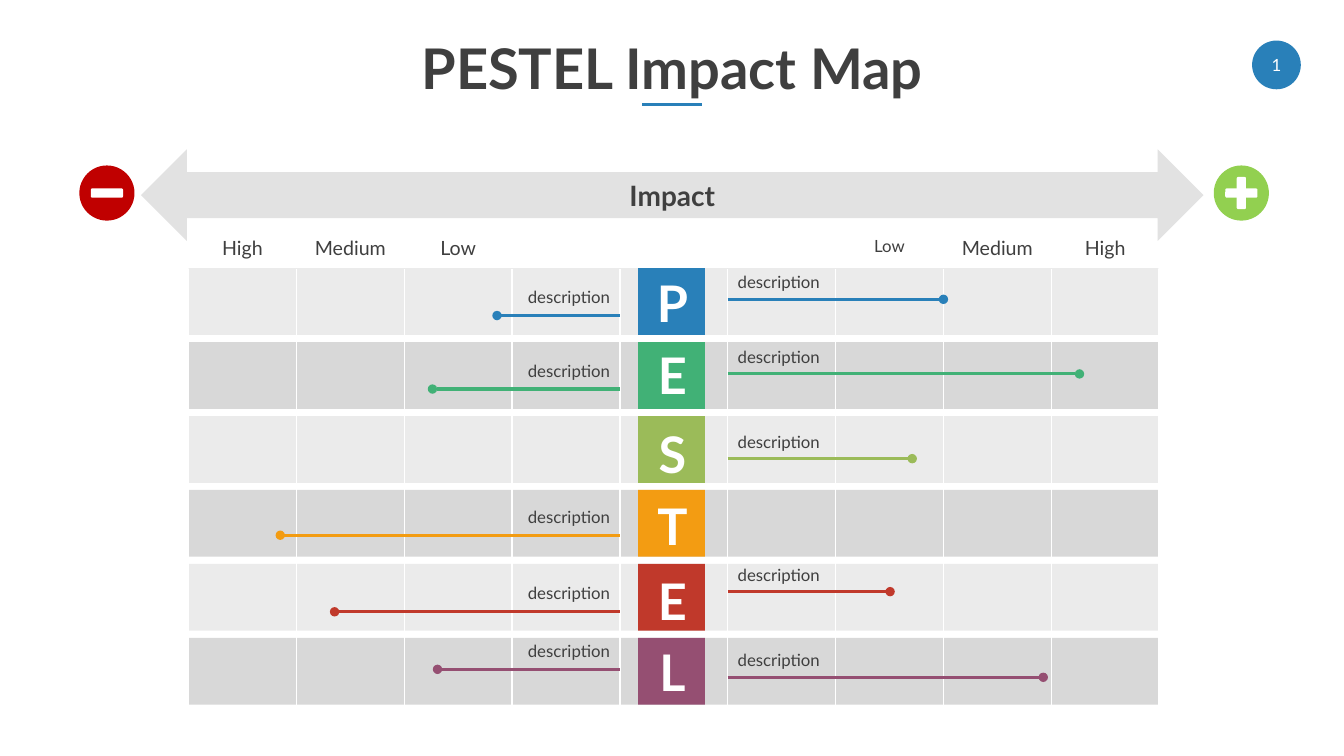
"""Build the PESTEL impact map slide."""
from lxml.etree import SubElement
from pptx import Presentation
from pptx.dml.color import RGBColor
from pptx.enum.shapes import MSO_CONNECTOR, MSO_SHAPE as SHAPE
from pptx.enum.text import MSO_ANCHOR as ANCHOR, PP_ALIGN as ALIGN
from pptx.oxml.ns import qn
from pptx.util import Pt

COLORS = {
    "text": "3F3F3F", "white": "FFFFFF", "arrow": "8C8C8C",
    "light": "D9D9D9", "dark": "B2B2B2", "minus": "C00000", "plus": "92D050",
    "blue": "2980B9", "green": "41B176", "olive": "9BBB59",
    "orange": "F39C12", "red": "C0392B", "purple": "954F72",
}
FACTORS = [
    {"letter": "P", "color": "blue", "drop": -0.7, "minus": (355, 225.4), "plus": (673.9, 213.8)},
    {"letter": "E", "color": "green", "drop": -2.2, "minus": (308.9, 277.9), "plus": (771.1, 267.1)},
    {"letter": "S", "color": "olive", "drop": 1.4, "plus": (651.6, 327.6)},
    {"letter": "T", "color": "orange", "drop": 0, "minus": (200.2, 382.3)},
    {"letter": "E", "color": "red", "drop": 0.7, "minus": (239, 437), "plus": (635.8, 422.6)},
    {"letter": "L", "color": "purple", "drop": -1.4, "minus": (312.5, 478.1), "plus": (745.2, 483.8)},
]
HEADINGS = {
    "minus": [(0, "High", 14), (1, "Medium", 14), (2, "Low", 14)],
    "plus": [(1, "Low", 12), (2, "Medium", 14), (3, "High", 14)],
}
SIDES = {"minus": 134.7, "plus": 519.8}
COLUMNS, COLUMN = 4, 77.04
GRID_TOP, GRID_BOTTOM, GRID_WIDTH = 191.5, 504, 692.8
ROW_STEP, ROW_HEIGHT = 52.83, 47.7
LETTER_LEFT = 455.8
LABEL_WIDTH, LABEL_HEIGHT = 104.4, 21.8
BADGE_Y, BADGE_SIZE, BAR_LONG, BAR_SHORT = 137.9, 39.4, 23, 6.6
BADGES = {"minus": (76.4, [(BAR_LONG, BAR_SHORT)]),
          "plus": (886.7, [(BAR_LONG, BAR_SHORT), (BAR_SHORT, BAR_LONG)])}

deck = Presentation()
deck.slide_width, deck.slide_height = Pt(960), Pt(540)
page = deck.slides.add_slide(deck.slide_layouts[6])


def rgb(name):
    return RGBColor.from_string(COLORS[name])


def write(box, text, size, color="text", bold=False, align=ALIGN.CENTER, anchor=ANCHOR.TOP):
    frame = box.text_frame
    frame.word_wrap = True
    frame.vertical_anchor = anchor
    para = frame.paragraphs[0]
    para.text, para.alignment = text, align
    font = para.runs[0].font
    font.name, font.size, font.bold = "Lato", Pt(size), bold
    font.color.rgb = rgb(color)


def add_label(left, top, width, height, text, size, **style):
    box = page.shapes.add_textbox(Pt(left), Pt(top), Pt(width), Pt(height))
    write(box, text, size, **style)


def add_block(kind, left, top, width, height, color, alpha=None):
    block = page.shapes.add_shape(kind, Pt(left), Pt(top), Pt(width), Pt(height))
    block.shadow.inherit = False
    block.fill.solid()
    block.fill.fore_color.rgb = rgb(color)
    block.line.fill.background()
    if alpha:
        tint = block._element.spPr.find(qn("a:solidFill"))[0]
        SubElement(tint, qn("a:alpha"), val=str(alpha * 1000))
    return block


def add_centred(kind, x, y, width, height, color):
    return add_block(kind, x - width / 2, y - height / 2, width, height, color)


def add_line(x1, y1, x2, y2, color, weight, dot=False):
    line = page.shapes.add_connector(MSO_CONNECTOR.STRAIGHT, Pt(x1), Pt(y1), Pt(x2), Pt(y2))
    line.line.color.rgb = rgb(color)
    line.line.width = Pt(weight)
    if dot:
        SubElement(line.line._get_or_add_ln(), qn("a:tailEnd"), type="oval")
    SubElement(line._element.spPr, qn("a:effectLst"))


number = add_block(SHAPE.OVAL, 894.4, 29, 34.8, 34.8, "blue")
number.text_frame.margin_left = number.text_frame.margin_right = 0
write(number, "1", 12, color="white", anchor=ANCHOR.MIDDLE)
add_line(458.6, 74.7, 501.4, 74.7, "blue", 2)
add_label(66, 14.4, 828, 67.7, "PESTEL Impact Map", 40, bold=True, anchor=ANCHOR.MIDDLE)

for index in range(len(FACTORS)):
    add_block(SHAPE.RECTANGLE, SIDES["minus"], GRID_TOP + index * ROW_STEP, GRID_WIDTH, ROW_HEIGHT,
              "dark" if index % 2 else "light", alpha=50)

arrow = add_block(SHAPE.LEFT_RIGHT_ARROW, 100.8, 106.6, 758.9, 65.5, "arrow", alpha=25)
write(arrow, "Impact", 20, bold=True, anchor=ANCHOR.MIDDLE)

for side, (center, bars) in BADGES.items():
    add_centred(SHAPE.OVAL, center, BADGE_Y, BADGE_SIZE, BADGE_SIZE, side)
    for width, height in bars:
        add_centred(SHAPE.ROUNDED_RECTANGLE, center, BADGE_Y, width, height, "white")

for side, left in SIDES.items():
    for column in range(COLUMNS + 1):
        x = left + column * COLUMN
        add_line(x, 192.2, x, GRID_BOTTOM, "white", 1)
    for column, text, size in HEADINGS[side]:
        add_label(left + column * COLUMN, 165.2, COLUMN, 24.2, text, size)

for index, factor in enumerate(FACTORS):
    color = factor["color"]
    tile = add_block(SHAPE.RECTANGLE, LETTER_LEFT, GRID_TOP + index * ROW_STEP,
                     ROW_HEIGHT, ROW_HEIGHT, color)
    frame = tile.text_frame
    frame.margin_left, frame.margin_right, frame.margin_bottom = Pt(1.2), 0, 0
    frame.margin_top = Pt(3.6 + factor["drop"])
    write(tile, factor["letter"], 36, color="white", bold=True)
    if "minus" in factor:
        end, y = factor["minus"]
        start = SIDES["minus"] + COLUMNS * COLUMN
        add_line(start, y, end, y, color, 2.25, dot=True)
        add_label(start - LABEL_WIDTH, y - 24, LABEL_WIDTH, LABEL_HEIGHT, "description", 12,
                  align=ALIGN.RIGHT)
    if "plus" in factor:
        end, y = factor["plus"]
        start = SIDES["plus"]
        add_line(start, y, end, y, color, 2.25, dot=True)
        add_label(start, y - 23, LABEL_WIDTH, LABEL_HEIGHT, "description", 12, align=ALIGN.LEFT)

deck.save("out.pptx")
